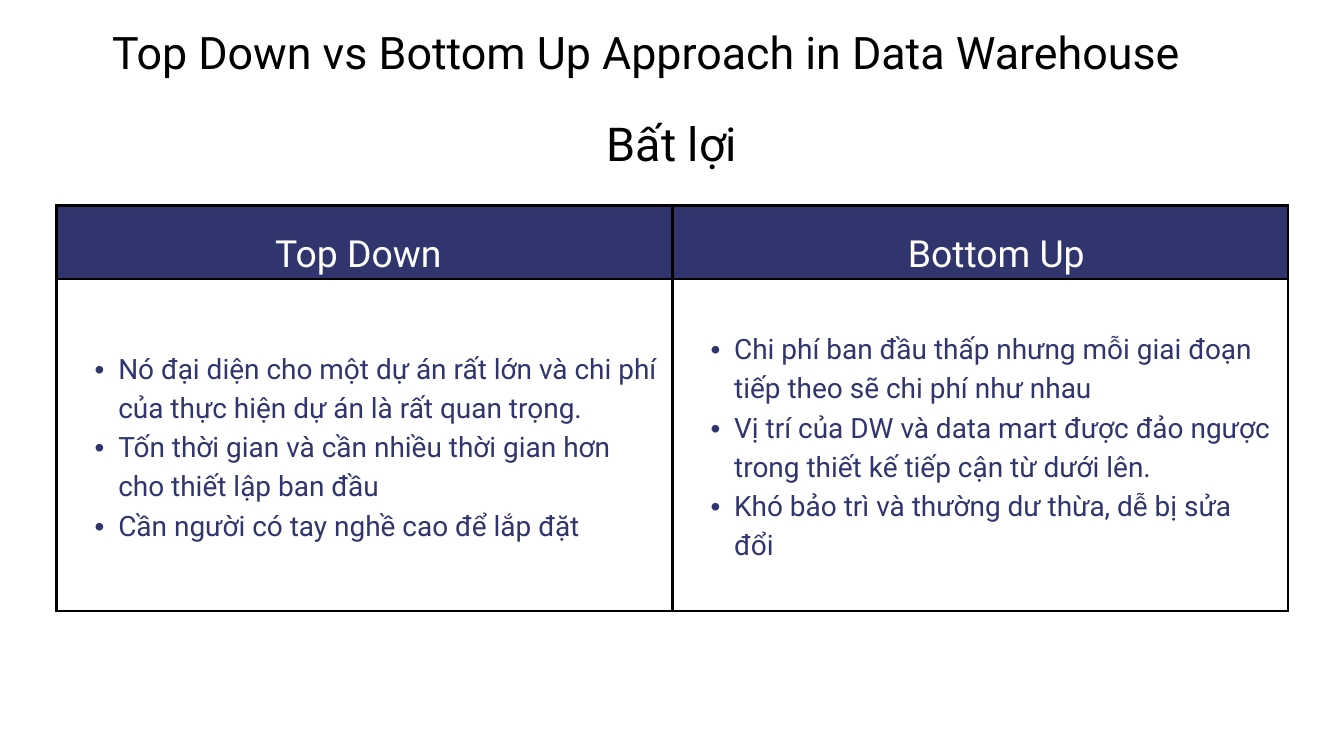
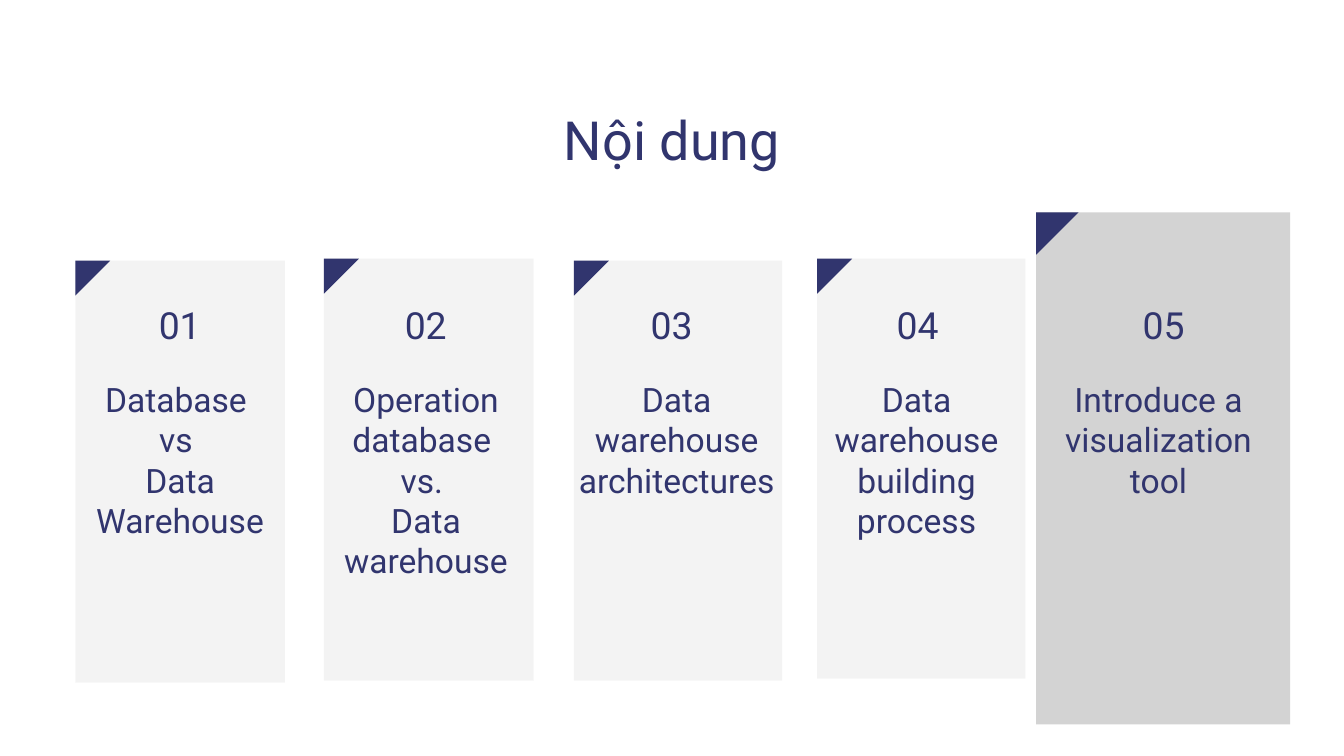
import pptx
import pptx.util
import pptx.dml.color
import pptx.enum.shapes
import pptx.enum.text
import pptx.oxml.ns
from lxml import etree

Inches = pptx.util.Inches
Pt = pptx.util.Pt
RGBColor = pptx.dml.color.RGBColor
Align = pptx.enum.text.PP_ALIGN
qn = pptx.oxml.ns.qn

NAVY = RGBColor(0x31, 0x35, 0x6E)
BLACK = RGBColor(0, 0, 0)
WHITE = RGBColor(0xFF, 0xFF, 0xFF)
GREY = RGBColor(0x24, 0x24, 0x24)
FONT = "Roboto"

HEADS = [("Top Down ", 3.94, 2.92), ("Bottom Up", 13.28, 3.09)]
POINTS = [
    ["Nó đại diện cho một dự án rất lớn và chi phí của thực hiện dự án là rất quan trọng.",
     "Tốn thời gian và cần nhiều thời gian hơn cho thiết lập ban đầu",
     "Cần người có tay nghề cao để lắp đặt"],
    ["Chi phí ban đầu thấp nhưng mỗi giai đoạn tiếp theo sẽ chi phí như nhau",
     "Vị trí của DW và data mart được đảo ngược trong thiết kế tiếp cận từ dưới lên.",
     "Khó bảo trì và thường dư thừa, dễ bị sửa đổi"],
]

# card left, top, width, height, corner, opacity; label left, width, lines
CARDS = [
    ((1.12, 3.88, 3.12, 6.28, 0.52, 5), (1.12, 3.12, ["Database ", "vs ", "Data Warehouse"])),
    ((4.82, 3.85, 3.12, 6.28, 0.52, 5), (4.79, 3.1, ["Operation database ", "vs. ", "Data warehouse"])),
    ((8.54, 3.88, 3.1, 6.25, 0.52, 5), (8.52, 3.1, ["Data warehouse architectures"])),
    ((12.16, 3.85, 3.1, 6.25, 0.52, 5), (12.06, 3.16, ["Data warehouse building process"])),
    ((15.42, 3.16, 3.78, 7.62, 0.63, 20), (15.78, 2.92, ["Introduce a visualization tool"])),
]


def style(para, size, color, lead):
    para.line_spacing = Pt(lead)
    para.font.size = Pt(size)
    para.font.name = FONT
    para.font.color.rgb = color


def add_text(slide, lines, left, top, width, height, size, color, lead):
    box = slide.shapes.add_textbox(Inches(left), Inches(top), Inches(width), Inches(height))
    frame = box.text_frame
    frame.word_wrap = True
    frame.margin_left = frame.margin_right = frame.margin_top = frame.margin_bottom = 0
    frame.text = "\n".join(lines)
    for para in frame.paragraphs:
        para.alignment = Align.CENTER
        style(para, size, color, lead)


def add_border(cell):
    props = cell._tc.get_or_add_tcPr()
    for side in ("lnL", "lnR", "lnT", "lnB"):
        line = etree.SubElement(props, qn("a:" + side), w=str(Pt(3)))
        fill = etree.SubElement(line, qn("a:solidFill"))
        etree.SubElement(fill, qn("a:srgbClr"), val=str(BLACK))


def add_points(cell, points):
    cell.margin_left = cell.margin_right = Inches(0.21)
    cell.margin_top = cell.margin_bottom = Inches(0.21)
    cell.vertical_anchor = pptx.enum.text.MSO_ANCHOR.MIDDLE
    cell.text = "\n".join(points)
    for para in cell.text_frame.paragraphs:
        para.level = 1
        props = para._p.get_or_add_pPr()
        props.set("marL", str(Inches(0.71)))
        props.set("indent", str(Inches(-0.35)))
        etree.SubElement(props, qn("a:buFont"), typeface="Arial")
        etree.SubElement(props, qn("a:buChar"), char="•")
        style(para, 30, NAVY, 42)


def add_grid(slide):
    frame = slide.shapes.add_table(2, 2, Inches(0.84), Inches(3.06), Inches(18.33), Inches(6.03))
    table = frame.table
    table.first_row = table.horz_banding = False
    table.rows[0].height = Inches(1.09)
    table.rows[1].height = Inches(4.94)
    for col, points in enumerate(POINTS):
        head, body = table.cell(0, col), table.cell(1, col)
        add_border(head)
        head.fill.solid()
        head.fill.fore_color.rgb = NAVY
        add_border(body)
        body.fill.background()
        add_points(body, points)


def paint(shape, color):
    shape.shadow.inherit = False
    shape.fill.solid()
    shape.fill.fore_color.rgb = color
    shape.line.fill.background()


def add_card(slide, left, top, width, height, corner, alpha):
    """Draw a see-through panel with a folded corner at its top left."""
    shapes = slide.shapes.add_group_shape().shapes
    panel = shapes.add_shape(pptx.enum.shapes.MSO_SHAPE.RECTANGLE, Inches(left), Inches(top),
                             Inches(width), Inches(height))
    paint(panel, GREY)
    tint = panel._element.spPr.find(qn("a:solidFill")).find(qn("a:srgbClr"))
    etree.SubElement(tint, qn("a:alpha"), val=str(alpha * 1000))
    x, y, side = Inches(left), Inches(top), Inches(corner)
    fold = shapes.build_freeform(x, y + side)
    fold.add_line_segments([(x, y), (x + side, y)], close=True)
    paint(fold.convert_to_shape(), NAVY)


def add_slide(deck):
    return deck.slides.add_slide(deck.slide_layouts[6])


def build_table(deck):
    slide = add_slide(deck)
    add_grid(slide)
    for head, left, width in HEADS:
        add_text(slide, [head], left, 3.31, width, 0.74, 40, WHITE, 56)
    add_text(slide, ["Top Down vs Bottom Up Approach in Data Warehouse"],
             0.86, 0.24, 17.51, 0.89, 48, BLACK, 67.2)
    add_text(slide, ["Bất lợi"], 8.98, 1.57, 2.04, 0.93, 50, BLACK, 70)


def build_cards(deck):
    slide = add_slide(deck)
    add_text(slide, ["Nội dung"], 2.64, 1.58, 14.72, 0.96, 57.8, NAVY, 69.3)
    for index, (card, (left, width, lines)) in enumerate(CARDS):
        add_card(slide, *card)
        add_text(slide, [f"{index + 1:02}"], 1.43 + index * 3.66, 4.49, 2.49, 0.66, 40, NAVY, 48)
        rows = (4, 5, 3, 4, 3)[index]
        add_text(slide, lines, left, 5.64, width, rows * 0.59, 36, NAVY, 43.2)


def main():
    deck = pptx.Presentation()
    deck.slide_width = Inches(20)
    deck.slide_height = Inches(11.25)
    build_table(deck)
    build_cards(deck)
    deck.save("out.pptx")


if __name__ == "__main__":
    main()
